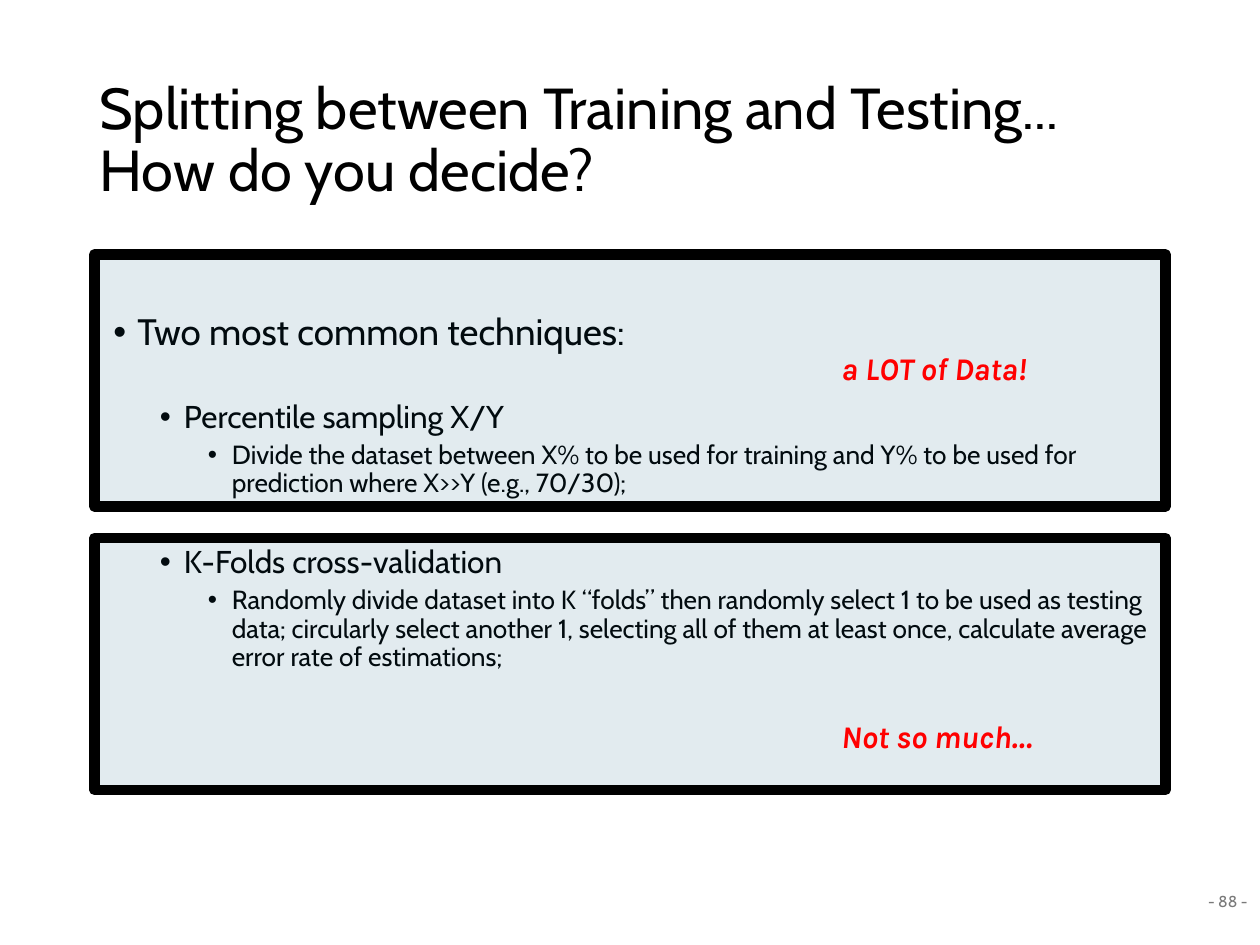
import pptx
import pptx.util
import pptx.dml.color
import pptx.enum.shapes
import pptx.enum.text
from lxml import etree
from pptx.oxml.ns import qn
from pptx.util import Inches, Pt

BLACK = pptx.dml.color.RGBColor(0x00, 0x00, 0x00)
RED = pptx.dml.color.RGBColor(0xFF, 0x00, 0x00)
GREY = pptx.dml.color.RGBColor(0x79, 0x79, 0x79)
TEAL = pptx.dml.color.RGBColor(0x15, 0x60, 0x82)

TITLE = "Splitting between Training and Testing... How do you decide?"
PAGE_NUMBER = "- 88 -"
GROUP_GAP = 27.3  # points above each technique, one empty line deep
# level, points before, text
BULLETS = [
    (0, 0, "Two most common techniques:"),
    (1, GROUP_GAP, "Percentile sampling X/Y"),
    (2, 3.8, "Divide the dataset between X% to be used for training and Y% to be "
             "used for prediction where X>>Y (e.g., 70/30);"),
    (1, GROUP_GAP, "K-Folds cross-validation"),
    (2, 3.8, "Randomly divide dataset into K “folds” then randomly select 1 to be "
             "used as testing data; circularly select another 1, selecting all of "
             "them at least once, calculate average error rate of estimations;"),
]
LEVEL_SIZES = (21, 18, 15)
LEVEL_MARGINS = (0.19, 0.56, 0.94)
HANGING = 0.19
# panel top, comment top, comment width, comment
PANELS = [
    (2.02, 2.72, 2.63, "a LOT of Data!"),
    (4.27, 5.64, 2.45, "Not so much…"),
]


def place(shape, left, top, width, height):
    shape.left, shape.top = Inches(left), Inches(top)
    shape.width, shape.height = Inches(width), Inches(height)


def style(paragraph, size, color, name="Cabin", **emphasis):
    for run in paragraph.runs:
        run.font.size, run.font.name = Pt(size), name
        run.font.color.rgb = color
        for key, value in emphasis.items():
            setattr(run.font, key, value)


def add_bullet(paragraph, level):
    properties = paragraph._p.get_or_add_pPr()
    properties.set("marL", str(Inches(LEVEL_MARGINS[level])))
    properties.set("indent", str(-Inches(HANGING)))
    etree.SubElement(properties, qn("a:buFont"), typeface="Arial")
    etree.SubElement(properties, qn("a:buChar"), char="•")


def add_panel(slide, top):
    panel = slide.shapes.add_shape(
        pptx.enum.shapes.MSO_SHAPE.RECTANGLE,
        Inches(0.75), Inches(top), Inches(8.5), Inches(2))
    panel.shadow.inherit = False
    panel.fill.solid()
    panel.fill.fore_color.rgb = TEAL
    color = panel.fill._xPr.find(qn("a:solidFill"))[0]
    etree.SubElement(color, qn("a:alpha"), val="12000")
    panel.line.color.rgb = BLACK
    panel.line.width = Pt(6)


def add_label(slide, left, top, width, height, text):
    label = slide.shapes.add_textbox(
        Inches(left), Inches(top), Inches(width), Inches(height))
    label.text_frame.text = text
    return label.text_frame


def main():
    presentation = pptx.Presentation()
    presentation.slide_width, presentation.slide_height = Inches(10), Inches(7.5)
    slide = presentation.slides.add_slide(presentation.slide_layouts[1])
    anchor = pptx.enum.text.MSO_ANCHOR
    align = pptx.enum.text.PP_ALIGN
    auto_size = pptx.enum.text.MSO_AUTO_SIZE

    title, body = slide.placeholders
    place(title, 0.69, 0.4, 8.62, 1.45)
    title.text_frame.text = TITLE
    title.text_frame.vertical_anchor = anchor.MIDDLE
    title.text_frame.auto_size = auto_size.NONE
    heading = title.text_frame.paragraphs[0]
    heading.alignment, heading.line_spacing = align.LEFT, 0.9
    style(heading, 33, BLACK)

    place(body, 0.8, 2.44, 8.62, 4.76)
    body.text_frame.text = "\n".join(text for _, _, text in BULLETS)
    body.text_frame.auto_size = auto_size.NONE
    for paragraph, (level, before, _) in zip(body.text_frame.paragraphs, BULLETS):
        paragraph.level = level
        paragraph.line_spacing, paragraph.space_before = 0.9, Pt(before)
        add_bullet(paragraph, level)
        style(paragraph, LEVEL_SIZES[level], BLACK)

    number = add_label(slide, 7.75, 6.95, 2.25, 0.4, PAGE_NUMBER)
    number.word_wrap = True
    number.vertical_anchor = anchor.MIDDLE
    number.paragraphs[0].alignment = align.RIGHT
    style(number.paragraphs[0], 9, GREY)

    for panel_top, comment_top, width, text in PANELS:
        add_panel(slide, panel_top)
        comment = add_label(slide, 6.58, comment_top, width, 0.5, text)
        comment.word_wrap = False
        style(comment.paragraphs[0], 18, RED, "Karla", bold=True, italic=True)

    presentation.save("out.pptx")


if __name__ == "__main__":
    main()
